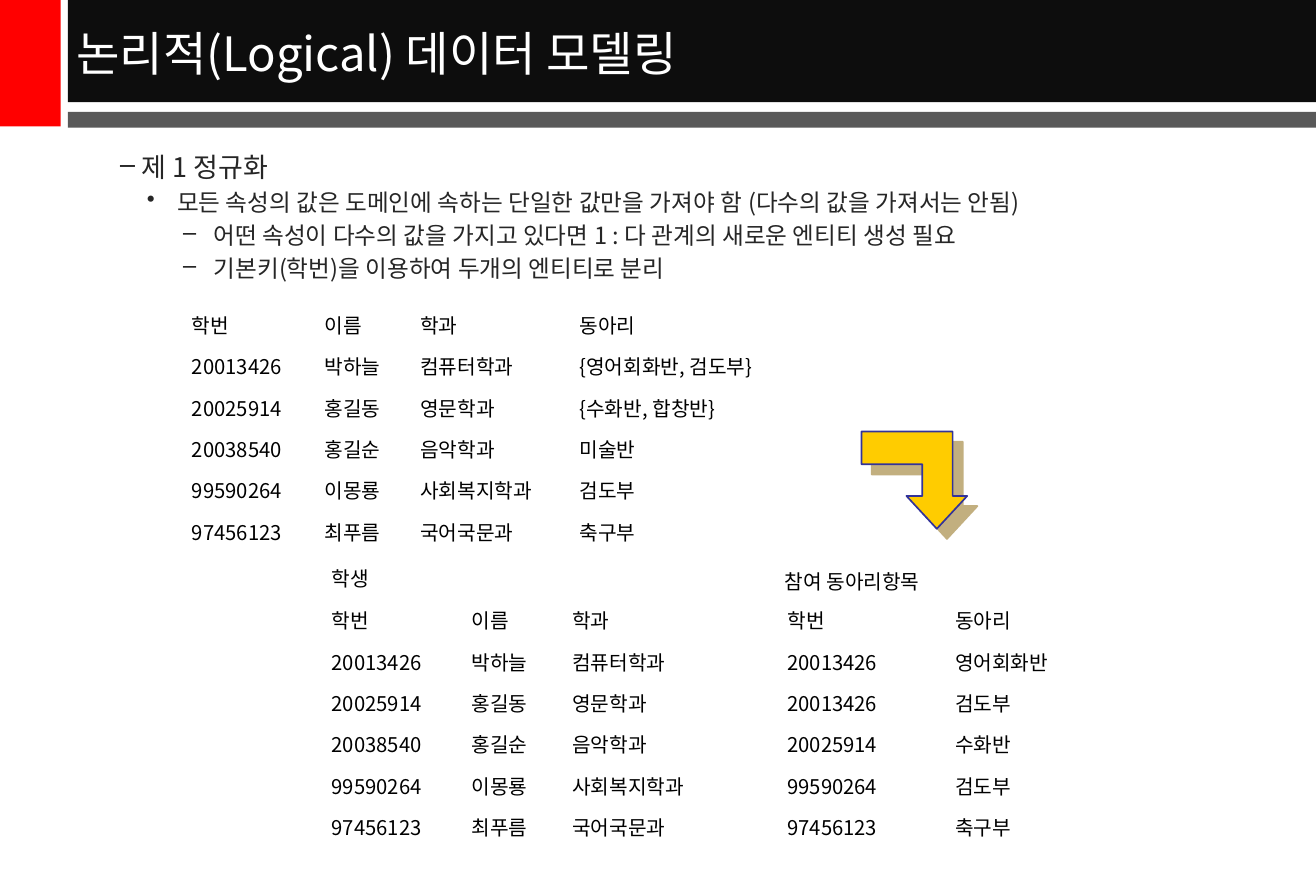
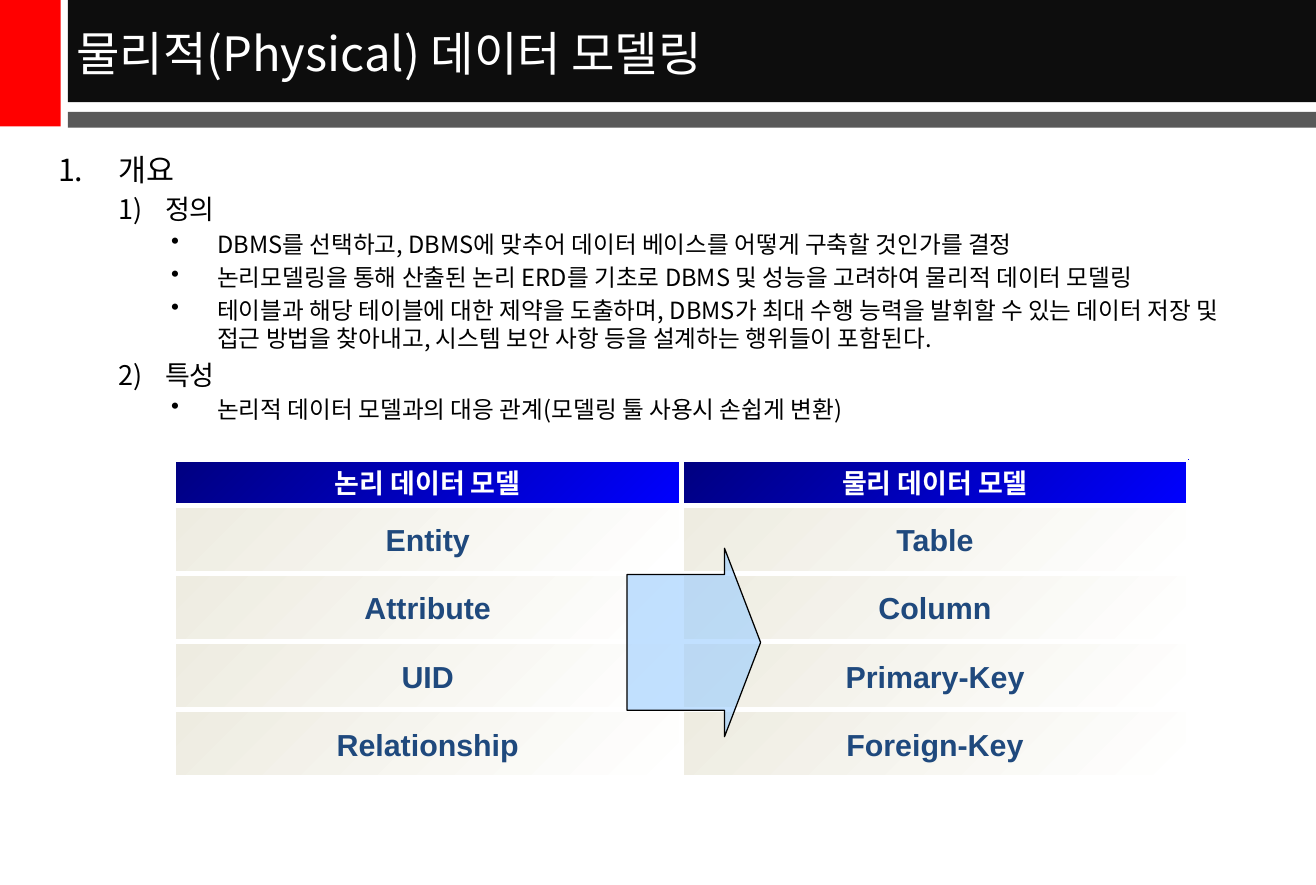
from pptx import Presentation
from pptx.dml.color import RGBColor
from pptx.enum.shapes import MSO_CONNECTOR, MSO_SHAPE
from pptx.enum.text import MSO_ANCHOR, PP_ALIGN
from pptx.oxml.ns import qn
from pptx.util import Emu, Pt
from lxml.etree import SubElement

KOREAN, LATIN = "Noto Sans CJK KR", "Arial"
BLACK = RGBColor(0x00, 0x00, 0x00)
WHITE = RGBColor(0xFF, 0xFF, 0xFF)
RED = RGBColor(0xFF, 0x00, 0x00)
TITLE_BAND = RGBColor(0x0D, 0x0D, 0x0D)
GRAY_BAND = RGBColor(0x59, 0x59, 0x59)
DARK_TEXT = RGBColor(0x26, 0x26, 0x26)
NAVY_TEXT = RGBColor(0x1F, 0x49, 0x7D)
HEAD_GRADIENT = (RGBColor(0x00, 0x00, 0x80), RGBColor(0x00, 0x00, 0xFF))
BODY_GRADIENT = (RGBColor(0xEE, 0xEC, 0xE1), WHITE)
GOLD = RGBColor(0xFF, 0xCC, 0x00)
INDIGO = RGBColor(0x33, 0x33, 0x99)
SKY = RGBColor(0x99, 0xCC, 0xFF)
SHADOW = "866000"

# Outline levels: kind of marker -> (tag, attributes)
BULLETS = {
    "dash": ("a:buChar", {"char": "–"}),
    "dot": ("a:buChar", {"char": "•"}),
    "1.": ("a:buAutoNum", {"type": "arabicPeriod"}),
    "1)": ("a:buAutoNum", {"type": "arabicParenR"}),
    "2)": ("a:buAutoNum", {"type": "arabicParenR", "startAt": "2"}),
}

STUDENTS = [
    ["학번", "이름", "학과"],
    ["20013426", "박하늘", "컴퓨터학과"],
    ["20025914", "홍길동", "영문학과"],
    ["20038540", "홍길순", "음악학과"],
    ["99590264", "이몽룡", "사회복지학과"],
    ["97456123", "최푸름", "국어국문과"],
]
CLUBS = ["동아리", "{영어회화반, 검도부}", "{수화반, 합창반}", "미술반", "검도부", "축구부"]
MEMBERSHIPS = [
    ["학번", "동아리"],
    ["20013426", "영어회화반"],
    ["20013426", "검도부"],
    ["20025914", "수화반"],
    ["99590264", "검도부"],
    ["97456123", "축구부"],
]
MODEL_PAIRS = [
    ("논리 데이터 모델", "물리 데이터 모델"),
    ("Entity", "Table"),
    ("Attribute", "Column"),
    ("UID", "Primary-Key"),
    ("Relationship", "Foreign-Key"),
]


def px(n):
    """One px is a hundredth of an inch."""
    return Emu(n * 9144)


def write(p, text, size=12, color=BLACK, font=KOREAN, bold=False, align=None):
    r = p.add_run()
    r.text = text
    r.font.size, r.font.bold, r.font.name = Pt(size), bold, font
    r.font.color.rgb = color
    rPr = r.font._element
    rPr.set("kern", "0")  # no pair kerning
    SubElement(rPr, qn("a:ea"), typeface=KOREAN)
    p.alignment = align


def add_box(slide, left, top, width, height, fill=None, shape=MSO_SHAPE.RECTANGLE):
    sp = slide.shapes.add_shape(shape, px(left), px(top), px(width), px(height))
    sp.shadow.inherit = False
    sp.line.fill.background()
    if fill is not None:
        sp.fill.solid()
        sp.fill.fore_color.rgb = fill
    return sp


def add_label(slide, left, top, width, height, text, wrap=True, anchor=MSO_ANCHOR.TOP, **fmt):
    tf = slide.shapes.add_textbox(px(left), px(top), px(width), px(height)).text_frame
    tf.word_wrap, tf.vertical_anchor = wrap, anchor
    write(tf.paragraphs[0], text, **fmt)


def add_outline(slide, width, items, color):
    """Items are (marker, left indent, hanging indent, size, text)."""
    tf = slide.shapes.add_textbox(px(38), px(119), px(width), px(543)).text_frame
    tf.word_wrap = True
    for i, (marker, indent, hang, size, text) in enumerate(items):
        p = tf.paragraphs[0] if i == 0 else tf.add_paragraph()
        write(p, text, size=size, color=color)
        p.space_before = Pt(size * 0.2)
        pPr = p._p.get_or_add_pPr()
        pPr.set("marL", str(px(indent)))
        pPr.set("indent", str(-px(hang)))
        tag, attrs = BULLETS[marker]
        SubElement(pPr, qn(tag), attrs)


def add_plain_table(slide, left, top, col_widths, rows, row_height=30):
    frame = slide.shapes.add_table(len(rows), len(col_widths), px(left), px(top),
                                   px(sum(col_widths)), px(row_height * len(rows)))
    table = frame.table
    table.first_row = table.horz_banding = False
    for col, width in zip(table.columns, col_widths):
        col.width = px(width)
    for i, row in enumerate(rows):
        for j, text in enumerate(row):
            cell = table.cell(i, j)
            cell.fill.background()
            cell.vertical_anchor = MSO_ANCHOR.MIDDLE
            cell.margin_bottom = px(9)
            write(cell.text_frame.paragraphs[0], text, align=PP_ALIGN.JUSTIFY)


def add_gradient_cell(slide, left, top, width, height, text, colors, **fmt):
    sp = add_box(slide, left, top, width, height)
    sp.fill.gradient()
    sp.fill.gradient_angle = 315
    for stop, position, color in zip(sp.fill.gradient_stops, (0, 1), colors):
        stop.position, stop.color.rgb = position, color
    tf = sp.text_frame
    tf.word_wrap, tf.vertical_anchor = True, MSO_ANCHOR.MIDDLE
    write(tf.paragraphs[0], text, font=LATIN, bold=True, align=PP_ALIGN.CENTER, **fmt)


def add_rule(slide, x1, y1, x2, y2):
    line = slide.shapes.add_connector(MSO_CONNECTOR.STRAIGHT, px(x1), px(y1), px(x2), px(y2))
    line.line.color.rgb, line.line.width = WHITE, Pt(3)
    SubElement(line._element.spPr, qn("a:effectLst"))


def add_bent_arrow(slide):
    points = [(771, 435), (746, 408), (759, 408), (759, 382), (709, 382),
              (709, 355), (784, 355), (784, 408), (796, 408)]
    builder = slide.shapes.build_freeform(*points[0], scale=px(1))
    builder.add_line_segments(points[1:], close=True)
    sp = builder.convert_to_shape()
    sp.fill.solid()
    sp.fill.fore_color.rgb = GOLD
    sp.line.color.rgb, sp.line.width = INDIGO, Pt(1)
    # Half-transparent shadow to the lower right
    sp.shadow.inherit = False
    effects = sp._element.spPr.find(qn("a:effectLst"))
    shadow = SubElement(effects, qn("a:outerShdw"), dist=str(Pt(8.5)), dir="2700000",
                        algn="ctr", rotWithShape="0")
    clr = SubElement(shadow, qn("a:srgbClr"), val=SHADOW)
    SubElement(clr, qn("a:alpha"), val="50000")


def add_model_grid(slide):
    xs = [143, 561, 978]
    ys = [378] + [416 + 56 * i for i in range(len(MODEL_PAIRS))]
    for i, pair in enumerate(MODEL_PAIRS):
        if i == 0:
            fmt = dict(colors=HEAD_GRADIENT, size=16, color=WHITE)
        else:
            fmt = dict(colors=BODY_GRADIENT, size=18, color=NAVY_TEXT)
        for j, text in enumerate(pair):
            add_gradient_cell(slide, xs[j], ys[i], xs[j + 1] - xs[j], ys[i + 1] - ys[i],
                              text, **fmt)
    for y in ys:
        add_rule(slide, xs[0], y, xs[-1], y)
    for x in xs:
        add_rule(slide, x, ys[0], x, ys[-1])


def add_mapping_arrow(slide):
    sp = add_box(slide, 516, 451, 110, 155, SKY, MSO_SHAPE.RIGHT_ARROW)
    sp.adjustments[0], sp.adjustments[1] = 0.72, 0.27
    sp.line.color.rgb, sp.line.width = BLACK, Pt(0.75)
    clr = sp._element.spPr.find(qn("a:solidFill")).find(qn("a:srgbClr"))
    SubElement(clr, qn("a:alpha"), val="60000")


def new_slide(prs, title):
    """Blank slide with the shared bands and title."""
    slide = prs.slides.add_slide(prs.slide_layouts[6])
    add_box(slide, 0, 0, 50, 104, RED)
    add_box(slide, 56, 0, 1027, 84, TITLE_BAND)
    add_box(slide, 56, 92, 1027, 13, GRAY_BAND)
    add_label(slide, 53, 2, 1030, 82, title, anchor=MSO_ANCHOR.MIDDLE, size=28, color=WHITE)
    return slide


def logical_slide(prs):
    slide = new_slide(prs, "논리적(Logical) 데이터 모델링")
    add_outline(slide, 1007, [
        ("dash", 69, 18, 16, "제 1 정규화"),
        ("dot", 98, 25, 14, "모든 속성의 값은 도메인에 속하는 단일한 값만을 가져야 함 (다수의 값을 가져서는 안됨)"),
        ("dash", 128, 25, 14, "어떤 속성이 다수의 값을 가지고 있다면 1 : 다 관계의 새로운 엔티티 생성 필요"),
        ("dash", 128, 25, 14, "기본키(학번)을 이용하여 두개의 엔티티로 분리"),
    ], DARK_TEXT)
    # Split tables below, unsplit table above
    add_plain_table(slide, 263, 493, [115, 83, 138], STUDENTS)
    add_plain_table(slide, 638, 493, [138, 143], MEMBERSHIPS)
    unsplit = [row + [club] for row, club in zip(STUDENTS, CLUBS)]
    add_plain_table(slide, 148, 250, [109, 79, 131, 193], unsplit)
    add_bent_arrow(slide)
    add_label(slide, 263, 461, 54, 30, "학생", wrap=False)
    add_label(slide, 636, 463, 150, 30, "참여 동아리항목")


def physical_slide(prs):
    slide = new_slide(prs, "물리적(Physical) 데이터 모델링")
    add_outline(slide, 990, [
        ("1.", 50, 50, 18, "개요"),
        ("1)", 88, 38, 16, "정의"),
        ("dot", 131, 38, 14, "DBMS를 선택하고, DBMS에 맞추어 데이터 베이스를 어떻게 구축할 것인가를 결정"),
        ("dot", 131, 38, 14, "논리모델링을 통해 산출된 논리 ERD를 기초로 DBMS 및 성능을 고려하여 물리적 데이터 모델링"),
        ("dot", 131, 38, 14, "테이블과 해당 테이블에 대한 제약을 도출하며, DBMS가 최대 수행 능력을 발휘할 수 있는 "
                             "데이터 저장 및 접근 방법을 찾아내고, 시스템 보안 사항 등을 설계하는 행위들이 포함된다."),
        ("2)", 88, 38, 16, "특성"),
        ("dot", 131, 38, 14, "논리적 데이터 모델과의 대응 관계(모델링 툴 사용시 손쉽게 변환)"),
    ], BLACK)
    add_model_grid(slide)
    add_mapping_arrow(slide)


def main():
    prs = Presentation()
    prs.slide_width, prs.slide_height = px(1083), px(728)
    logical_slide(prs)
    physical_slide(prs)
    prs.save("out.pptx")


if __name__ == "__main__":
    main()
